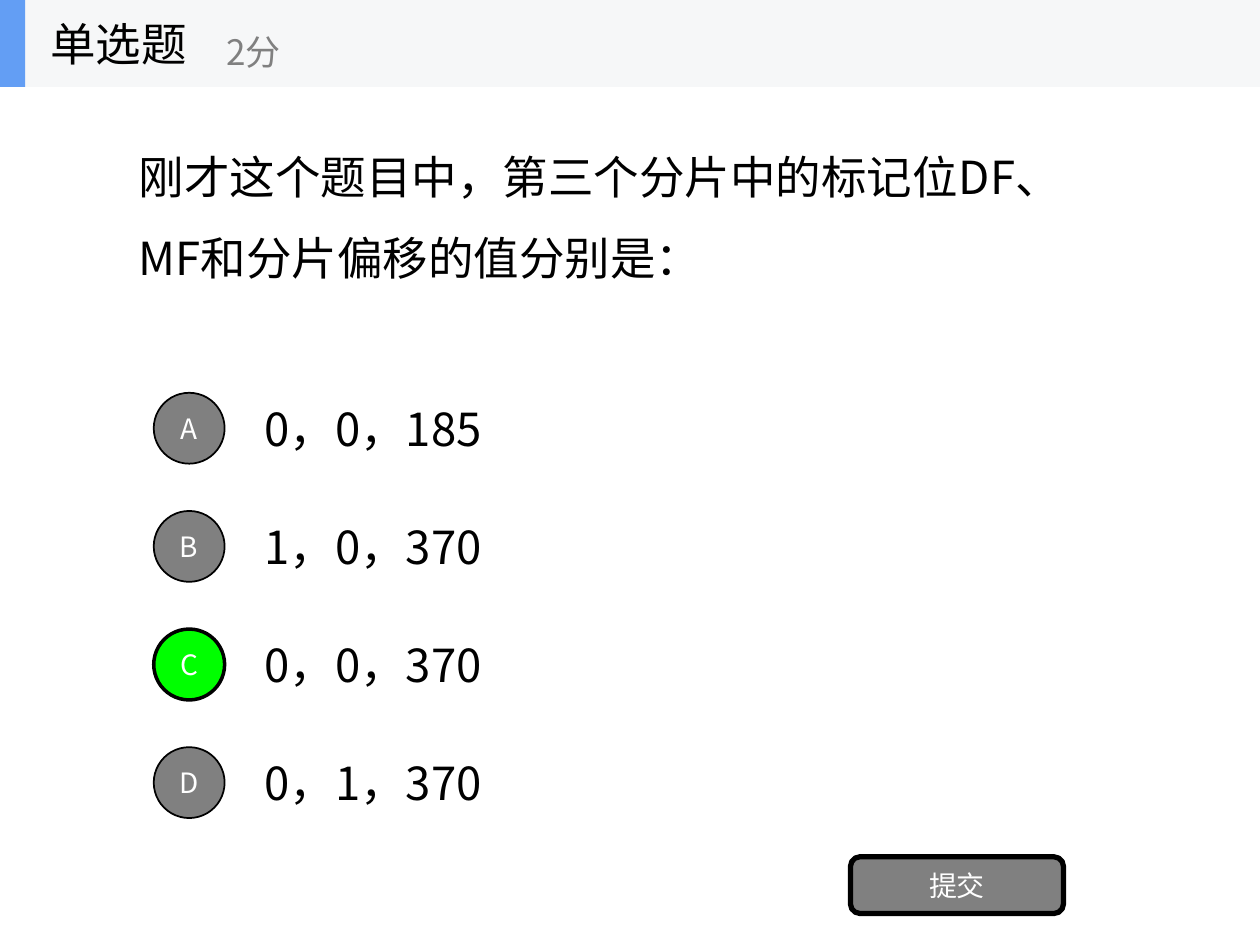
from dataclasses import dataclass

import lxml.etree
import pptx
import pptx.dml.color
import pptx.enum.shapes
import pptx.enum.text
import pptx.oxml.ns
import pptx.util

SHAPES = pptx.enum.shapes.MSO_SHAPE
ALIGN = pptx.enum.text.PP_ALIGN
WIDTH, HEIGHT = 10, 7.5


@dataclass(frozen=True)
class Theme:
    font: str = "Noto Sans CJK SC"
    ink: str = "000000"
    muted: str = "808080"
    light: str = "FFFFFF"
    correct: str = "00FF00"
    band: str = "F6F7F8"
    accent: str = "639EF4"
    body: int = 26
    points: int = 20
    label: int = 16


THEME = Theme()


@dataclass(frozen=True)
class Box:
    left: float
    top: float
    width: float
    height: float

    def share(self, left, top, width, height):
        """Box given as shares of this one."""
        return Box(self.left + left * self.width, self.top + top * self.height,
                   width * self.width, height * self.height)

    def emu(self):
        return [pptx.util.Inches(v) for v in (self.left, self.top, self.width, self.height)]


def rgb(color):
    return pptx.dml.color.RGBColor.from_string(color)


def write(shape, text, size, color, align=ALIGN.LEFT, wrap=True):
    frame = shape.text_frame
    frame.text = text
    frame.word_wrap = wrap
    frame.auto_size = pptx.enum.text.MSO_AUTO_SIZE.NONE
    frame.vertical_anchor = pptx.enum.text.MSO_ANCHOR.MIDDLE
    paragraph = frame.paragraphs[0]
    paragraph.alignment = align
    for run in paragraph.runs:
        run.font.size = pptx.util.Pt(size)
        run.font.color.rgb = rgb(color)
        run.font.name = THEME.font
        east_asian = lxml.etree.SubElement(run.font._element, pptx.oxml.ns.qn("a:ea"))
        east_asian.set("typeface", THEME.font)
    return paragraph


def add_text(shapes, box, text, size, color):
    write(shapes.add_textbox(*box.emu()), text, size, color)


def add_filled(shapes, kind, box, fill, line_width=0):
    shape = shapes.add_shape(kind, *box.emu())
    shape.shadow.inherit = False
    shape.fill.solid()
    shape.fill.fore_color.rgb = rgb(fill)
    if line_width:
        shape.line.color.rgb = rgb(THEME.ink)
        shape.line.width = pptx.util.Pt(line_width)
    else:
        shape.line.fill.background()
    return shape


def add_question(slide, box, text):
    title = slide.shapes.title
    title.left, title.top, title.width, title.height = box.emu()
    write(title, text, THEME.body, THEME.ink).line_spacing = 1.5


def add_options(slide, box, answers, correct):
    """One row per answer: a lettered circle, then the answer."""
    pitch = 1 / len(answers)
    for index, (letter, answer) in enumerate(answers.items()):
        row = box.share(0, index * pitch, 1, pitch)
        add_text(slide.shapes, row.share(0.1, 0.125, 0.9, 0.75), answer, THEME.body, THEME.ink)
        side = 0.6 * row.height
        badge = Box(row.left, row.top + (row.height - side) / 2, side, side)
        chosen = letter == correct
        circle = add_filled(slide.shapes, SHAPES.OVAL, badge,
                            THEME.correct if chosen else THEME.muted, 2 if chosen else 1)
        write(circle, letter, THEME.label, THEME.light, ALIGN.CENTER, wrap=False)


def add_submit(slide, box, text):
    button = add_filled(slide.shapes, SHAPES.ROUNDED_RECTANGLE, box, THEME.muted, 3)
    write(button, text, THEME.label, THEME.light, ALIGN.CENTER, wrap=False)


def add_header(slide, box, question_type, points):
    shapes = slide.shapes.add_group_shape().shapes
    add_filled(shapes, SHAPES.RECTANGLE, box, THEME.band)
    add_filled(shapes, SHAPES.RECTANGLE, box.share(0, 0, 0.02, 1), THEME.accent)
    add_text(shapes, box.share(0.03, 0, 0.21, 1), question_type, THEME.body, THEME.ink)
    add_text(shapes, box.share(0.17, 0.18, 0.25, 0.82), points, THEME.points, THEME.muted)


def main():
    deck = pptx.Presentation()
    deck.slide_width = pptx.util.Inches(WIDTH)
    deck.slide_height = pptx.util.Inches(HEIGHT)
    slide = deck.slides.add_slide(deck.slide_layouts.get_by_name("Title Only"))
    page = Box(0, 0, WIDTH, HEIGHT)

    add_question(slide, page.share(0.1, 0.06, 0.8, 0.31),
                 "刚才这个题目中，第三个分片中的标记位DF、MF和分片偏移的值分别是：")
    answers = {"A": "0，0，185", "B": "1，0，370", "C": "0，0，370", "D": "0，1，370"}
    add_options(slide, Box(1.22, 2.93, 7.78, HEIGHT / 2), answers, correct="C")
    add_submit(slide, Box(6.75, 6.8, 1.69, 0.45), "提交")
    add_header(slide, Box(0, 0, WIDTH, 0.69), "单选题", "2分")
    deck.save("out.pptx")


if __name__ == "__main__":
    main()
